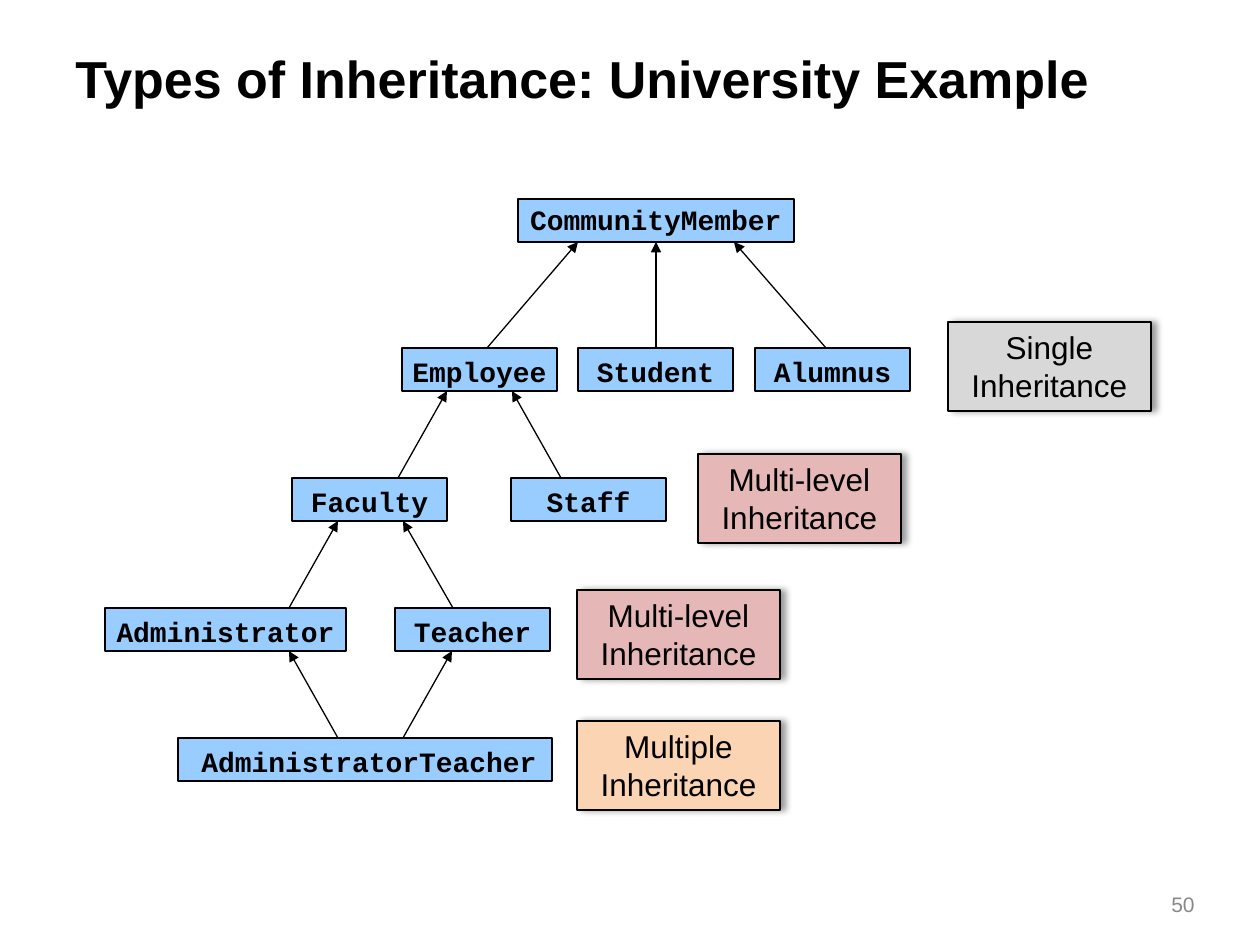
from dataclasses import dataclass

from lxml import etree
from pptx import Presentation
from pptx.dml.color import RGBColor
from pptx.enum.shapes import MSO_CONNECTOR, MSO_SHAPE
from pptx.enum.text import MSO_ANCHOR, PP_ALIGN
from pptx.oxml.ns import qn
from pptx.util import Emu, Pt

RECTANGLE = MSO_SHAPE.RECTANGLE
STRAIGHT = MSO_CONNECTOR.STRAIGHT
TOP, MIDDLE = MSO_ANCHOR.TOP, MSO_ANCHOR.MIDDLE
LEFT, CENTER, RIGHT = PP_ALIGN.LEFT, PP_ALIGN.CENTER, PP_ALIGN.RIGHT

PX_PER_INCH = 126
COLORS = {
    "black": "000000",
    "class": "99CCFF",
    "single": "D8D8D8",
    "multilevel": "E5B8B7",
    "multiple": "FBD4B4",
    "number": "888888",
}
CLASS_WIDTH, CLASS_HEIGHT = 155, 43
LABEL_WIDTH, LABEL_HEIGHT = 203, 89
# Top of each row of the class tree
ROWS = [199, 348, 478, 608, 738]


def px(value: int) -> Emu:
    return Emu(round(value * 914400 / PX_PER_INCH))


@dataclass
class ClassBox:
    name: str
    left: int
    row: int
    width: int = CLASS_WIDTH
    inset_left: int = 0
    inset_top: int = 13


@dataclass
class Arrow:
    """Runs from a child's top edge up to the bottom edge of its parent."""
    child_x: int
    parent_x: int
    child_row: int


@dataclass
class Label:
    text: str
    left: int
    top: int
    color: str


CLASSES = [
    ClassBox("CommunityMember", 518, 0, 276, inset_top=10),
    ClassBox("Employee", 402, 1),
    ClassBox("Student", 578, 1),
    ClassBox("Alumnus", 755, 1),
    ClassBox("Faculty", 292, 2),
    ClassBox("Staff", 511, 2),
    ClassBox("Administrator", 105, 3, 241),
    ClassBox("Teacher", 395, 3),
    ClassBox("AdministratorTeacher", 178, 4, 374, inset_left=8),
]
ARROWS = [
    Arrow(487, 578, 1), Arrow(656, 656, 1), Arrow(826, 734, 1),
    Arrow(398, 447, 2), Arrow(561, 512, 2),
    Arrow(289, 338, 3), Arrow(453, 403, 3),
    Arrow(338, 289, 4), Arrow(403, 452, 4),
]
LABELS = [
    Label("Single Inheritance", 948, 322, "single"),
    Label("Multi-level Inheritance", 698, 454, "multilevel"),
    Label("Multi-level Inheritance", 577, 590, "multilevel"),
    Label("Multiple Inheritance", 577, 721, "multiple"),
]


def rgb(name: str) -> RGBColor:
    return RGBColor.from_string(COLORS[name])


def write_text(shape, text: str, size: float, font: str = "Arial",
               color: str = "black", bold: bool = False, align=CENTER,
               anchor=TOP, spacing: float = 1.0) -> None:
    frame = shape.text_frame
    frame.word_wrap = True
    frame.vertical_anchor = anchor
    paragraph = frame.paragraphs[0]
    paragraph.alignment = align
    paragraph.line_spacing = spacing
    run = paragraph.add_run()
    run.text = text
    run.font.name = font
    run.font.size = Pt(size)
    run.font.bold = bold
    run.font.color.rgb = rgb(color)


def add_box(slide, left: int, top: int, width: int, height: int, color: str):
    shape = slide.shapes.add_shape(
        RECTANGLE, px(left), px(top), px(width), px(height))
    shape.shadow.inherit = False
    shape.fill.solid()
    shape.fill.fore_color.rgb = rgb(color)
    shape.line.color.rgb = rgb("black")
    shape.line.width = Pt(0.75)
    return shape


def add_class(slide, box: ClassBox) -> None:
    shape = add_box(slide, box.left, ROWS[box.row], box.width, CLASS_HEIGHT, "class")
    frame = shape.text_frame
    frame.margin_left, frame.margin_top = px(box.inset_left), px(box.inset_top)
    frame.margin_right = frame.margin_bottom = 0
    write_text(shape, box.name, 16, font="Courier New", bold=True, spacing=0.8)


def add_arrow(slide, arrow: Arrow) -> None:
    parent_bottom = ROWS[arrow.child_row - 1] + CLASS_HEIGHT
    connector = slide.shapes.add_connector(
        STRAIGHT, px(arrow.child_x), px(ROWS[arrow.child_row]),
        px(arrow.parent_x), px(parent_bottom))
    connector.line.color.rgb = rgb("black")
    connector.line.width = Pt(0.75)
    etree.SubElement(connector.line._get_or_add_ln(), qn("a:tailEnd"), type="triangle")
    etree.SubElement(connector._element.spPr, qn("a:effectLst"))


def add_label(slide, label: Label) -> None:
    shape = add_box(slide, label.left, label.top, LABEL_WIDTH, LABEL_HEIGHT, label.color)
    write_text(shape, label.text, 18)
    # Soft shadow to the right
    effects = shape._element.spPr.find(qn("a:effectLst"))
    shadow = etree.SubElement(effects, qn("a:outerShdw"), blurRad=str(Pt(4)),
                              dist=str(Pt(3)), dir="0", algn="ctr", rotWithShape="0")
    tint = etree.SubElement(shadow, qn("a:srgbClr"), val=COLORS["black"])
    etree.SubElement(tint, qn("a:alpha"), val="40000")


def main() -> None:
    presentation = Presentation()
    presentation.slide_width, presentation.slide_height = px(1260), px(945)
    slide = presentation.slides.add_slide(presentation.slide_layouts[6])

    # Title and page number
    title = slide.shapes.add_textbox(px(63), px(20), px(1134), px(115))
    write_text(title, "Types of Inheritance: University Example", 29.7,
               bold=True, align=LEFT, anchor=MIDDLE)
    number = slide.shapes.add_textbox(px(1106), px(885), px(101), px(44))
    write_text(number, "50", 12, color="number", align=RIGHT)

    # Class tree
    for box in CLASSES:
        add_class(slide, box)
    for arrow in ARROWS:
        add_arrow(slide, arrow)

    # Kinds of inheritance
    for label in LABELS:
        add_label(slide, label)

    presentation.save("out.pptx")


if __name__ == "__main__":
    main()
